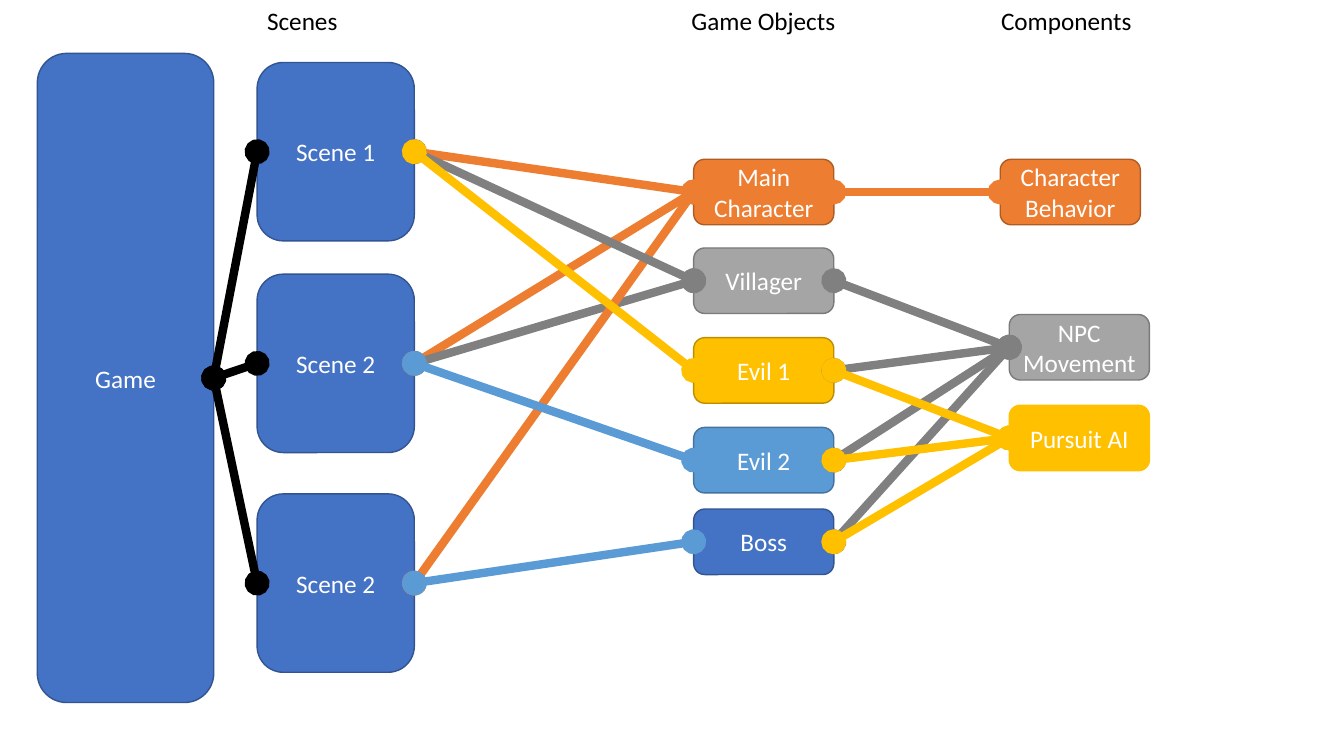
from lxml.etree import SubElement
from pptx import Presentation
from pptx.dml.color import RGBColor
from pptx.enum.shapes import MSO_CONNECTOR, MSO_SHAPE
from pptx.enum.text import MSO_ANCHOR, PP_ALIGN
from pptx.oxml.ns import qn
from pptx.util import Inches, Pt

COLORS = {
    "blue": "4472C4", "blue edge": "325491",
    "orange": "ED7D31", "orange edge": "AF5C24",
    "gray": "A5A5A5", "gray edge": "7A7A7A",
    "gold": "FFC000", "gold edge": "BD8E00",
    "sky": "5B9BD5", "sky edge": "43739E",
    "dark": "808080", "black": "000000", "white": "FFFFFF",
}
FONT, SIZE = "Calibri", 18

HEADS = [("Scenes", 2.55, 1.51), ("Game Objects", 6.76, 1.75), ("Components", 9.83, 1.75)]

SIZES = {"game": (1.75, 6.44), "scene": (1.56, 1.77), "item": (1.39, 0.65)}
BOXES = [
    ("game", "Game", "game", 0.37, 0.53, "blue", "blue edge"),
    ("scene1", "Scene 1", "scene", 2.55, 0.62, "blue", "blue edge"),
    ("scene2", "Scene 2", "scene", 2.55, 2.72, "blue", "blue edge"),
    ("scene3", "Scene 2", "scene", 2.55, 4.9, "blue", "blue edge"),
    ("main", "Main Character", "item", 6.88, 1.58, "orange", "orange edge"),
    ("villager", "Villager", "item", 6.88, 2.46, "gray", "gray edge"),
    ("evil1", "Evil 1", "item", 6.88, 3.35, "gold", "gold edge"),
    ("evil2", "Evil 2", "item", 6.88, 4.24, "sky", "sky edge"),
    ("boss", "Boss", "item", 6.88, 5.05, "blue", "blue edge"),
    ("behavior", "Character Behavior", "item", 9.92, 1.58, "orange", "orange edge"),
    ("npc", "NPC Movement", "item", 10.01, 3.12, "gray", "gray edge"),
    ("pursuit", "Pursuit AI", "item", 10.01, 4.02, "gold", "gold"),
]

LINKS = [
    ("game", "scene1", "black"), ("game", "scene2", "black"), ("game", "scene3", "black"),
    ("scene1", "main", "orange"), ("scene2", "main", "orange"),
    ("scene2", "villager", "dark"), ("scene3", "main", "orange"),
    ("scene1", "villager", "dark"), ("scene1", "evil1", "gold"),
    ("scene2", "evil2", "sky"), ("scene3", "boss", "sky"),
    ("main", "behavior", "orange"),
    ("villager", "npc", "dark"), ("evil1", "npc", "dark"),
    ("evil2", "npc", "dark"), ("boss", "npc", "dark"),
    ("evil1", "pursuit", "gold"), ("evil2", "pursuit", "gold"), ("boss", "pursuit", "gold"),
]
LEFT, RIGHT = 1, 3


def color(name):
    return RGBColor.from_string(COLORS[name])


def write(frame, text, shade, align):
    frame.word_wrap = True
    para = frame.paragraphs[0]
    para.text = text
    para.alignment = align
    para.font.name = FONT
    para.font.size = Pt(SIZE)
    para.font.color.rgb = color(shade)


def add_box(slide, text, kind, x, y, fill, edge):
    width, height = SIZES[kind]
    box = slide.shapes.add_shape(
        MSO_SHAPE.ROUNDED_RECTANGLE, Inches(x), Inches(y), Inches(width), Inches(height))
    box.shadow.inherit = False
    box.fill.solid()
    box.fill.fore_color.rgb = color(fill)
    box.line.color.rgb = color(edge)
    box.line.width = Pt(1)
    frame = box.text_frame
    frame.vertical_anchor = MSO_ANCHOR.MIDDLE
    frame.margin_left = frame.margin_right = Inches(0.05)
    write(frame, text, "white", PP_ALIGN.CENTER)
    return box


def add_link(slide, start, end, shade):
    link = slide.shapes.add_connector(MSO_CONNECTOR.STRAIGHT, 0, 0, 0, 0)
    link.begin_connect(start, RIGHT)
    link.end_connect(end, LEFT)
    link.line.color.rgb = color(shade)
    link.line.width = Pt(6)
    line = link.line._get_or_add_ln()
    for tag in ("a:headEnd", "a:tailEnd"):
        SubElement(line, qn(tag), type="oval")
    SubElement(link._element.spPr, qn("a:effectLst"))


def main():
    deck = Presentation()
    deck.slide_width, deck.slide_height = Inches(13.33), Inches(7.5)
    slide = deck.slides.add_slide(deck.slide_layouts[6])
    boxes = {key: add_box(slide, *rest) for key, *rest in BOXES}
    for start, end, shade in LINKS:
        add_link(slide, boxes[start], boxes[end], shade)
    for text, x, width in HEADS:
        head = slide.shapes.add_textbox(Inches(x), 0, Inches(width), Inches(0.4))
        write(head.text_frame, text, "black", PP_ALIGN.LEFT)
    deck.save("out.pptx")


if __name__ == "__main__":
    main()
